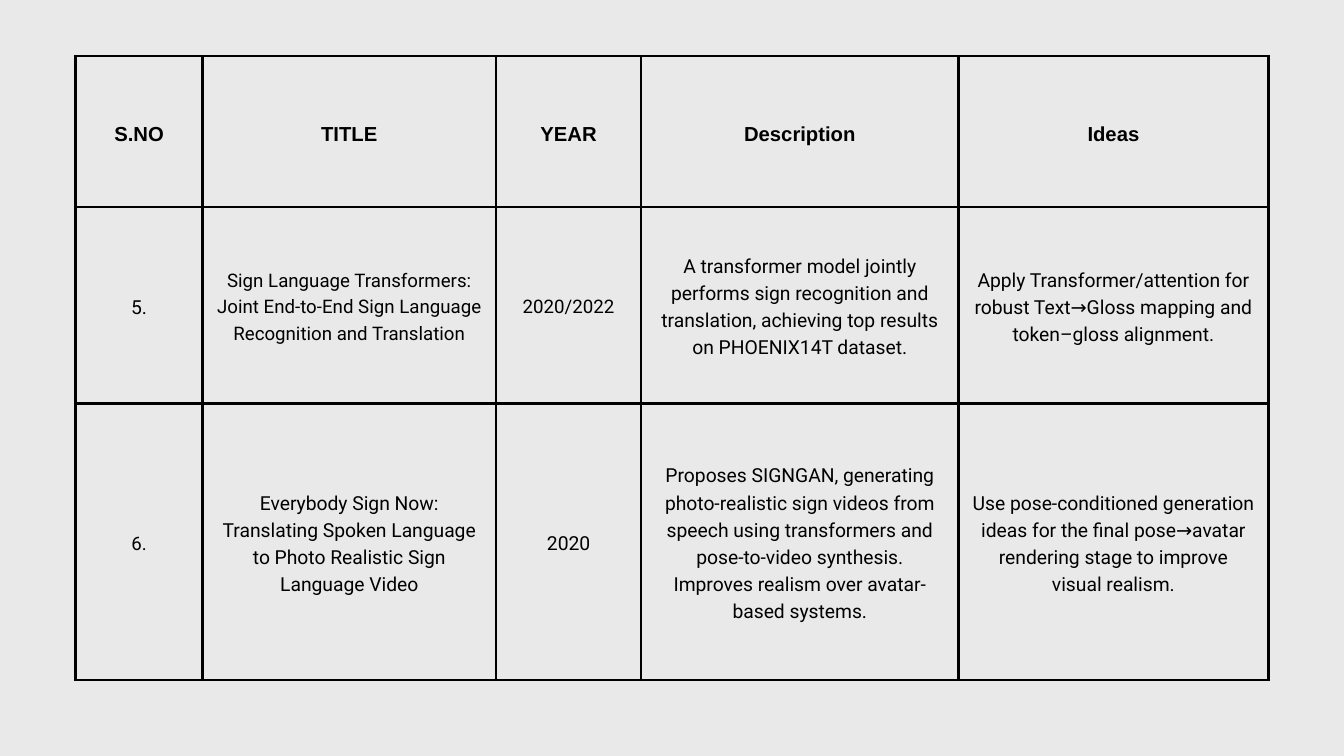
from lxml.etree import SubElement
from pptx import Presentation
from pptx.dml.color import RGBColor
from pptx.enum.text import MSO_ANCHOR, PP_ALIGN
from pptx.oxml.ns import qn
from pptx.util import Pt

COLORS = {"background": "E9E9E9", "ink": "000000"}
BORDER = 3
MARGIN = 15
COL_WIDTHS = [136, 314.5, 155.5, 340, 332]
ROW_HEIGHTS = [162, 210.5, 296]
HEADER = ["S.NO", "TITLE", "YEAR", "Description", "Ideas"]
PAPERS = [
    [
        ("5.", 20.7),
        ("Sign Language Transformers: Joint End-to-End Sign Language "
         "Recognition and Translation", 20),
        ("2020/2022", 20),
        ("A transformer model jointly performs sign recognition and translation, "
         "achieving top results on PHOENIX14T dataset.", 20.7),
        ("Apply Transformer/attention for robust Text→Gloss mapping and "
         "token–gloss alignment.", 20.7),
    ],
    [
        ("6.", 20),
        ("Everybody Sign Now: Translating Spoken Language to Photo Realistic "
         "Sign Language Video", 20.7),
        ("2020", 20.7),
        ("Proposes SIGNGAN, generating photo-realistic sign videos from speech "
         "using transformers and pose-to-video synthesis. Improves realism over "
         "avatar-based systems.", 20.7),
        ("Use pose-conditioned generation ideas for the final pose→avatar "
         "rendering stage to improve visual realism.", 20.7),
    ],
]


def rgb(name):
    return RGBColor.from_string(COLORS[name])


def add_borders(cell):
    tc_pr = cell._tc.get_or_add_tcPr()
    for i, side in enumerate(("lnL", "lnR", "lnT", "lnB")):
        ln = SubElement(tc_pr, qn(f"a:{side}"), w=str(Pt(BORDER)))
        fill = SubElement(ln, qn("a:solidFill"))
        SubElement(fill, qn("a:srgbClr"), val=COLORS["ink"])
        tc_pr.insert(i, ln)


def fill_cell(cell, text, size, font, bold):
    cell.fill.background()
    add_borders(cell)
    cell.vertical_anchor = MSO_ANCHOR.MIDDLE
    cell.margin_left = cell.margin_right = Pt(MARGIN)
    cell.margin_top = cell.margin_bottom = Pt(MARGIN)
    cell.text = text
    p = cell.text_frame.paragraphs[0]
    p.alignment = PP_ALIGN.CENTER
    p.line_spacing = Pt(round(size * 1.4, 1))
    p.font.name = font
    p.font.size = Pt(size)
    p.font.bold = bold
    p.font.color.rgb = rgb("ink")


def add_paper_table(slide, left, top, width, height):
    rows = [[(text, 21.7) for text in HEADER]] + PAPERS
    table = slide.shapes.add_table(
        len(rows), len(HEADER), Pt(left), Pt(top), Pt(width), Pt(height)
    ).table
    table.first_row = table.horz_banding = False
    for col, col_width in zip(table.columns, COL_WIDTHS):
        col.width = Pt(col_width)
    for row, row_height in zip(table.rows, ROW_HEIGHTS):
        row.height = Pt(row_height)
    for r, row in enumerate(rows):
        for c, (text, size) in enumerate(row):
            is_header = r == 0
            font = "Arial" if is_header else "Roboto"
            fill_cell(table.cell(r, c), text, size, font, is_header)


def main():
    prs = Presentation()
    prs.slide_width, prs.slide_height = Pt(1440), Pt(810)
    slide = prs.slides.add_slide(prs.slide_layouts[6])
    slide.background.fill.solid()
    slide.background.fill.fore_color.rgb = rgb("background")
    add_paper_table(slide, 81, 60, sum(COL_WIDTHS), sum(ROW_HEIGHTS))
    prs.save("out.pptx")


if __name__ == "__main__":
    main()
